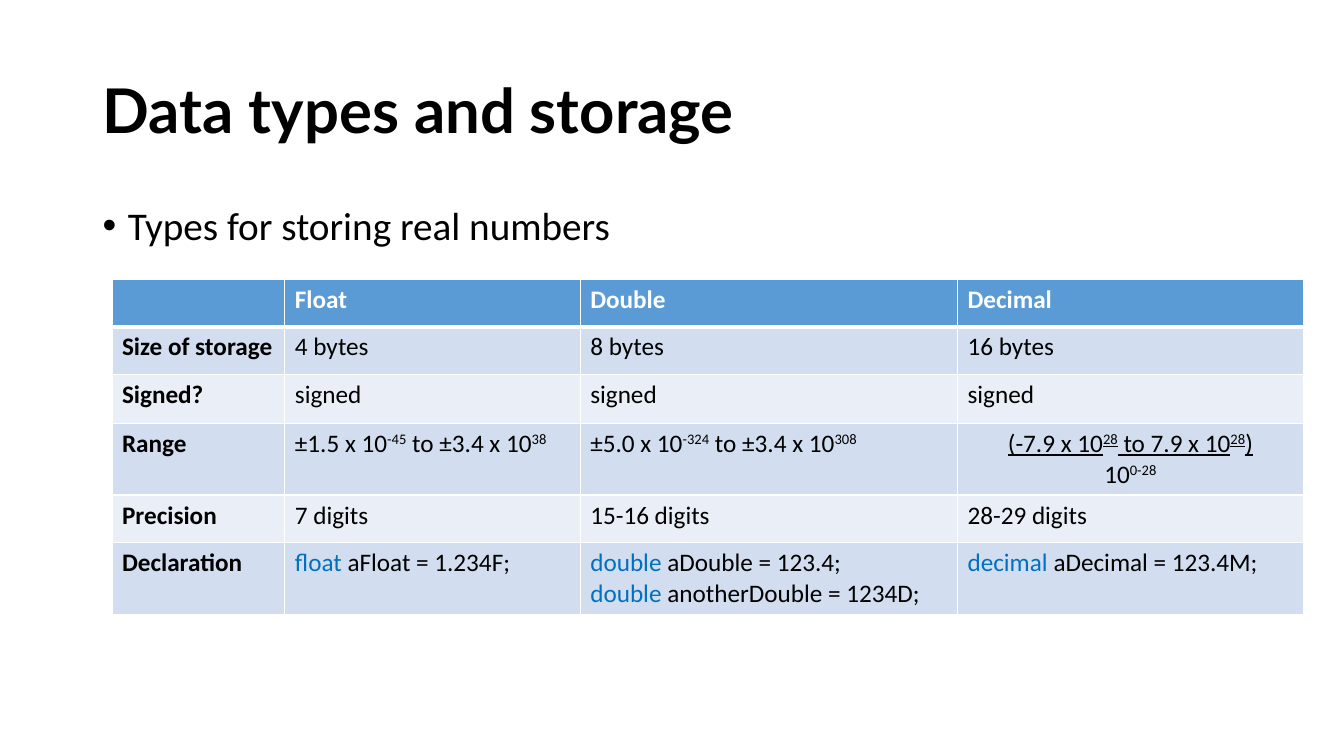
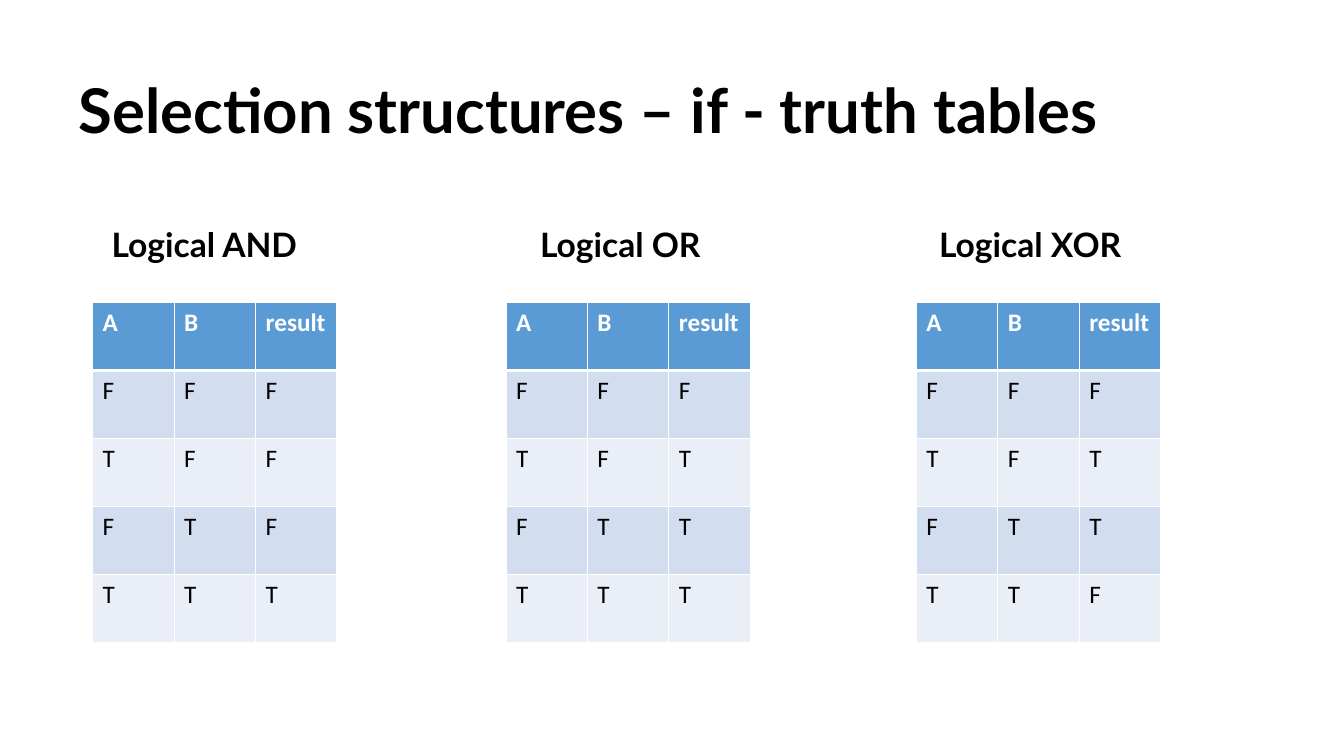
from lxml import etree
from pptx import Presentation
from pptx.dml.color import RGBColor
from pptx.enum import text
from pptx.oxml.ns import qn
from pptx.util import Pt

WHITE, BLACK, KEYWORD_BLUE = "FFFFFF", "000000", "0070C0"
HEADER_FILL, BAND_FILLS = "5B9BD5", ("D2DEEF", "EAEFF7")
HEADING_FONT, BODY_FONT = "Lato", "Calibri"
TITLE_LAYOUT, CONTENT_LAYOUT = 5, 1
THIN, THICK = 1, 3

TRUTH_TABLES = (
    # caption, caption left, table left, operation
    ("Logical AND", 72.7, 66.2, lambda a, b: a and b),
    ("Logical OR", 378.7, 361.4, lambda a, b: a or b),
    ("Logical XOR", 663.8, 654.5, lambda a, b: a != b),
)


def color(hex_value):
    return RGBColor.from_string(hex_value)


def place(shape, left, top, width, height):
    shape.left, shape.top = Pt(left), Pt(top)
    shape.width, shape.height = Pt(width), Pt(height)


def add_run(paragraph, content, size, font=BODY_FONT, ink=BLACK, bold=False,
            underline=False, superscript=False):
    run = paragraph.add_run()
    run.text = content
    run.font.name = font
    run.font.size = Pt(size)
    run.font.bold = bold
    run.font.color.rgb = color(ink)
    if underline:
        run.font.underline = True
    if superscript:
        run.font._element.set("baseline", "30000")


def add_titled_slide(presentation, layout, title, left):
    slide = presentation.slides.add_slide(presentation.slide_layouts[layout])
    shape = slide.shapes.title
    place(shape, left, 29, 828, 104.4)
    frame = shape.text_frame
    frame.auto_size = text.MSO_AUTO_SIZE.NONE
    frame.vertical_anchor = text.MSO_ANCHOR.MIDDLE
    paragraph = frame.paragraphs[0]
    paragraph.alignment = text.PP_ALIGN.LEFT
    paragraph.line_spacing = 0.9
    add_run(paragraph, title, 44, HEADING_FONT, bold=True)
    return slide


def fill_body(slide, content):
    body = slide.placeholders[1]
    place(body, 66.2, 144, 828, 342.7)
    body.text_frame.auto_size = text.MSO_AUTO_SIZE.NONE
    paragraph = body.text_frame.paragraphs[0]
    paragraph.line_spacing = 0.9
    paragraph.space_before = Pt(0)
    properties = paragraph._p.get_or_add_pPr()
    properties.set("marL", str(Pt(18)))
    properties.set("indent", str(-Pt(18)))
    etree.SubElement(properties, qn("a:buFont")).set("typeface", "Arial")
    etree.SubElement(properties, qn("a:buChar")).set("char", "•")
    add_run(paragraph, content, 28)


def add_caption(slide, content, left):
    box = slide.shapes.add_textbox(Pt(left), Pt(156.5), Pt(160), Pt(36))
    frame = box.text_frame
    frame.word_wrap = False
    frame.auto_size = text.MSO_AUTO_SIZE.SHAPE_TO_FIT_TEXT
    add_run(frame.paragraphs[0], content, 24, HEADING_FONT, bold=True)


def set_borders(cell, top, bottom):
    """Draw white borders; the sides are thin."""
    properties = cell._tc.get_or_add_tcPr()
    widths = {"lnL": THIN, "lnR": THIN, "lnT": top, "lnB": bottom}
    for tag, width in widths.items():
        line = etree.SubElement(properties, qn(f"a:{tag}"), w=str(Pt(width)))
        fill = etree.SubElement(line, qn("a:solidFill"))
        etree.SubElement(fill, qn("a:srgbClr"), val=WHITE)


def power_runs(*parts, **style):
    """Turn alternating bases and exponents into runs."""
    return [(part, {"superscript": index % 2 == 1, **style})
            for index, part in enumerate(parts)]


def declaration_runs(keyword, statement):
    return [(keyword + " ", {"ink": KEYWORD_BLUE}), (statement, {})]


def write_cell(cell, content, **style):
    """Write a string, or a list of paragraphs that are lists of runs."""
    if isinstance(content, str):
        content = [[(content, style)]] if content else []
    frame = cell.text_frame
    for index, runs in enumerate(content):
        paragraph = frame.add_paragraph() if index else frame.paragraphs[0]
        for run_text, run_style in runs:
            add_run(paragraph, run_text, 18, **run_style)


def add_banded_table(slide, left, top, widths, heights, rows, bold_labels=False):
    frame = slide.shapes.add_table(len(rows), len(widths), Pt(left), Pt(top),
                                   Pt(sum(widths)), Pt(sum(heights)))
    table = frame.table
    for column, width in zip(table.columns, widths):
        column.width = Pt(width)
    for row_index, (row, height) in enumerate(zip(rows, heights)):
        table.rows[row_index].height = Pt(height)
        header = row_index == 0
        band = HEADER_FILL if header else BAND_FILLS[(row_index - 1) % 2]
        for column_index, content in enumerate(row):
            cell = table.cell(row_index, column_index)
            set_borders(cell, THICK if row_index == 1 else THIN,
                        THICK if header else THIN)
            cell.fill.solid()
            cell.fill.fore_color.rgb = color(band)
            write_cell(cell, content, ink=WHITE if header else BLACK,
                       bold=header or (bold_labels and column_index == 0))
    return table


def build_data_types(presentation):
    slide = add_titled_slide(presentation, CONTENT_LAYOUT,
                             "Data types and storage", 66.2)
    fill_body(slide, "Types for storing real numbers")
    decimal_range = [
        power_runs("(-7.9 x 10", "28", " to 7.9 x 10", "28", ")", underline=True),
        power_runs("10", "0-28"),
    ]
    rows = [
        ("", "Float", "Double", "Decimal"),
        ("Size of storage", "4 bytes", "8 bytes", "16 bytes"),
        ("Signed?", "signed", "signed", "signed"),
        ("Range",
         [power_runs("±1.5 x 10", "-45", " to ±3.4 x 10", "38")],
         [power_runs("±5.0 x 10", "-324", " to ±3.4 x 10", "308")],
         decimal_range),
        ("Precision", "7 digits", "15-16 digits", "28-29 digits"),
        ("Declaration",
         [declaration_runs("float", "aFloat = 1.234F;")],
         [declaration_runs("double", "aDouble = 123.4;"),
          declaration_runs("double", "anotherDouble = 1234D;")],
         [declaration_runs("decimal", "aDecimal = 123.4M;")]),
    ]
    table = add_banded_table(slide, 80, 199.5, (123.5, 211, 269.5, 247),
                             (34, 34, 35, 51, 34, 50.5), rows, bold_labels=True)
    for paragraph in table.cell(3, 3).text_frame.paragraphs:
        paragraph.alignment = text.PP_ALIGN.CENTER


def truth_rows(operation):
    rows = [("A", "B", "result")]
    for b in (False, True):
        for a in (False, True):
            rows.append(["T" if value else "F" for value in (a, b, operation(a, b))])
    return rows


def build_truth_tables(presentation):
    slide = add_titled_slide(presentation, TITLE_LAYOUT,
                             "Selection structures – if - truth tables", 49)
    for caption, caption_left, table_left, operation in TRUTH_TABLES:
        add_banded_table(slide, table_left, 216, [58.2] * 3, [48.6] * 5,
                         truth_rows(operation))
        add_caption(slide, caption, caption_left)


def main():
    presentation = Presentation()
    presentation.slide_width, presentation.slide_height = Pt(960), Pt(540)
    build_data_types(presentation)
    build_truth_tables(presentation)
    presentation.save("out.pptx")


if __name__ == "__main__":
    main()
